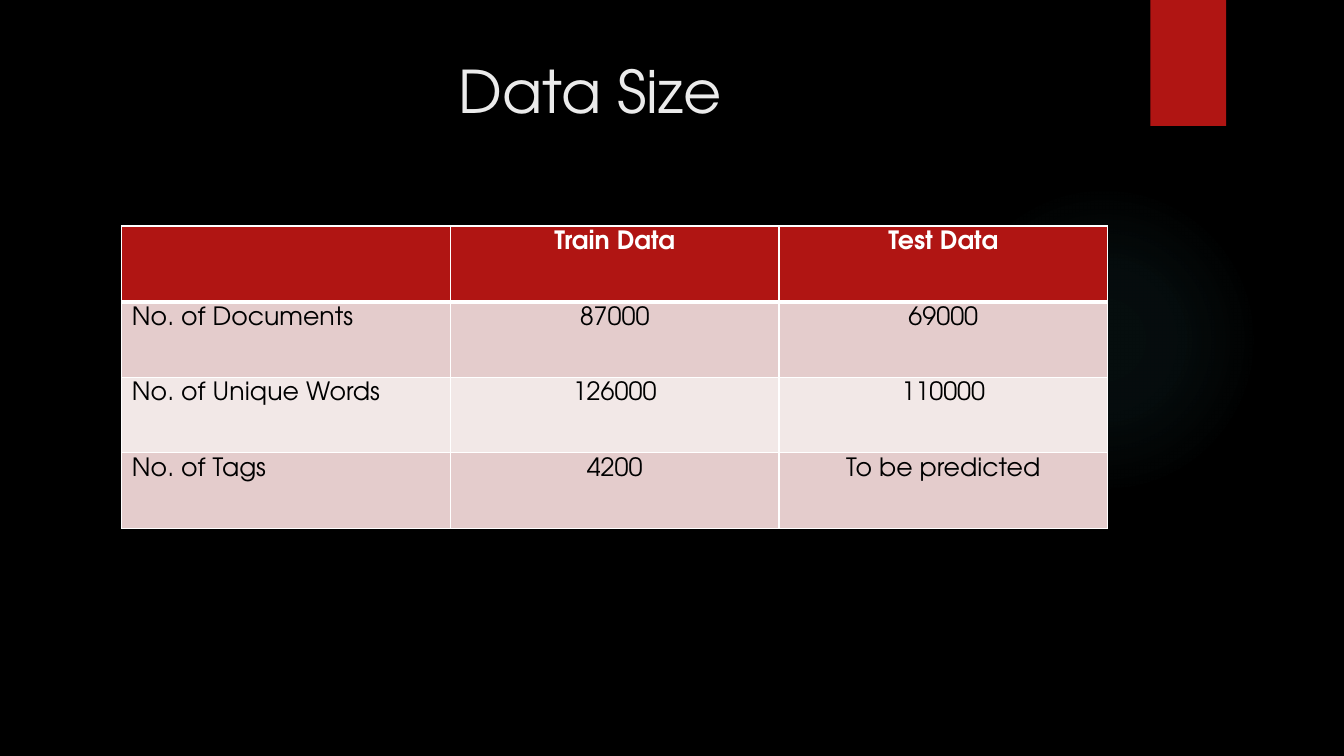
from dataclasses import dataclass

from lxml.etree import SubElement
from pptx import Presentation
from pptx.dml.color import RGBColor
from pptx.enum.shapes import MSO_SHAPE as Shape
from pptx.enum.text import MSO_ANCHOR as Anchor, MSO_AUTO_SIZE as AutoSize, PP_ALIGN as Align
from pptx.oxml import parse_xml
from pptx.oxml.ns import nsdecls, qn
from pptx.util import Inches, Pt


@dataclass(frozen=True)
class Theme:
    font: str = "TeX Gyre Adventor"
    title_size: int = 42
    table_size: int = 18
    background: str = "000000"
    title: str = "EBEBEB"
    accent: str = "B01513"
    glow: str = "50B9C1"
    header_text: str = "FFFFFF"
    body_text: str = "000000"
    border: str = "FFFFFF"
    bands: tuple = ("E4CCCC", "F2E8E7")
    thin_border: int = 1
    header_border: int = 3


THEME = Theme()
WIDTH, HEIGHT = Inches(13.33), Inches(7.5)

GLOW_STOPS = ((0, 7), (36, 6), (69, 0))
DATA_SIZES = (
    ("", "Train Data", "Test Data"),
    ("No. of Documents", "87000", "69000"),
    ("No. of Unique Words", "126000", "110000"),
    ("No. of Tags", "4200", "To be predicted"),
)


def area(left, top, width, height):
    return (round(WIDTH * left / 100), round(HEIGHT * top / 100),
            round(WIDTH * width / 100), round(HEIGHT * height / 100))


def paint(fill, colour):
    fill.solid()
    fill.fore_color.rgb = RGBColor.from_string(colour)


def style_text(paragraph, size, colour, align, bold=False):
    paragraph.alignment = align
    font = paragraph.font
    font.name, font.size, font.bold = THEME.font, Pt(size), bold
    font.color.rgb = RGBColor.from_string(colour)


def add_plain_shape(slide, kind, place):
    shape = slide.shapes.add_shape(kind, *place)
    shape.shadow.inherit = False
    shape.line.fill.background()
    return shape


def add_glow(slide, place):
    glow = add_plain_shape(slide, Shape.OVAL, place)
    glow.fill.background()
    stops = "".join(
        f'<a:gs pos="{position * 1000}"><a:srgbClr val="{THEME.glow}">'
        f'<a:alpha val="{opacity * 1000}"/></a:srgbClr></a:gs>'
        for position, opacity in GLOW_STOPS)
    gradient = parse_xml(
        f'<a:gradFill {nsdecls("a")} rotWithShape="1"><a:gsLst>{stops}</a:gsLst>'
        '<a:path path="circle"><a:fillToRect l="50000" t="50000" r="50000" b="50000"/>'
        '</a:path></a:gradFill>')
    properties = glow.element.spPr
    properties.replace(properties.find(qn("a:noFill")), gradient)


def add_ribbon(slide, place):
    ribbon = add_plain_shape(slide, Shape.RECTANGLE, place)
    paint(ribbon.fill, THEME.accent)
    effects = ribbon.element.spPr.find(qn("a:effectLst"))
    shadow = SubElement(effects, qn("a:outerShdw"), blurRad=str(Pt(3)),
                        dist=str(Pt(2)), dir="5400000", rotWithShape="0")
    colour = SubElement(shadow, qn("a:srgbClr"), val=THEME.background)
    SubElement(colour, qn("a:alpha"), val="45000")


def set_title(slide, text, place):
    title = slide.shapes.title
    title.left, title.top, title.width, title.height = place
    frame = title.text_frame
    frame.text = text
    frame.word_wrap = True
    frame.auto_size = AutoSize.NONE
    frame.vertical_anchor = Anchor.TOP
    style_text(frame.paragraphs[0], THEME.title_size, THEME.title, Align.CENTER)


def set_borders(cell, top, bottom):
    thin = THEME.thin_border
    sides = (("L", thin), ("R", thin), ("T", top), ("B", bottom))
    for index, (side, width) in enumerate(sides):
        border = parse_xml(
            f'<a:ln{side} {nsdecls("a")} w="{Pt(width)}"><a:solidFill>'
            f'<a:srgbClr val="{THEME.border}"/></a:solidFill></a:ln{side}>')
        cell._tc.get_or_add_tcPr().insert(index, border)


def fill_cell(cell, text, row, column):
    header = row == 0
    cell.text = text
    cell.vertical_anchor = Anchor.TOP
    paint(cell.fill, THEME.accent if header else THEME.bands[(row - 1) % 2])
    style_text(cell.text_frame.paragraphs[0], THEME.table_size,
               THEME.header_text if header else THEME.body_text,
               Align.CENTER if header or column else Align.LEFT, header)
    set_borders(cell,
                top=THEME.header_border if row == 1 else THEME.thin_border,
                bottom=THEME.header_border if header else THEME.thin_border)


def add_data_table(slide, rows, place):
    table = slide.shapes.add_table(len(rows), len(rows[0]), *place).table
    for row, values in enumerate(rows):
        for column, text in enumerate(values):
            fill_cell(table.cell(row, column), text, row, column)


def main():
    deck = Presentation()
    deck.slide_width, deck.slide_height = WIDTH, HEIGHT
    slide = deck.slides.add_slide(deck.slide_layouts.get_by_name("Title Only"))
    paint(slide.background.fill, THEME.background)
    add_glow(slide, area(70.58, 24.4, 23.1, 41.07))
    add_ribbon(slide, area(85.6, 0, 5.63, 16.67))
    set_title(slide, "Data Size", area(5.33, 6.6, 77.18, 20.4))
    add_data_table(slide, DATA_SIZES, area(9.06, 29.9, 73.35, 40))
    deck.save("out.pptx")


if __name__ == "__main__":
    main()
